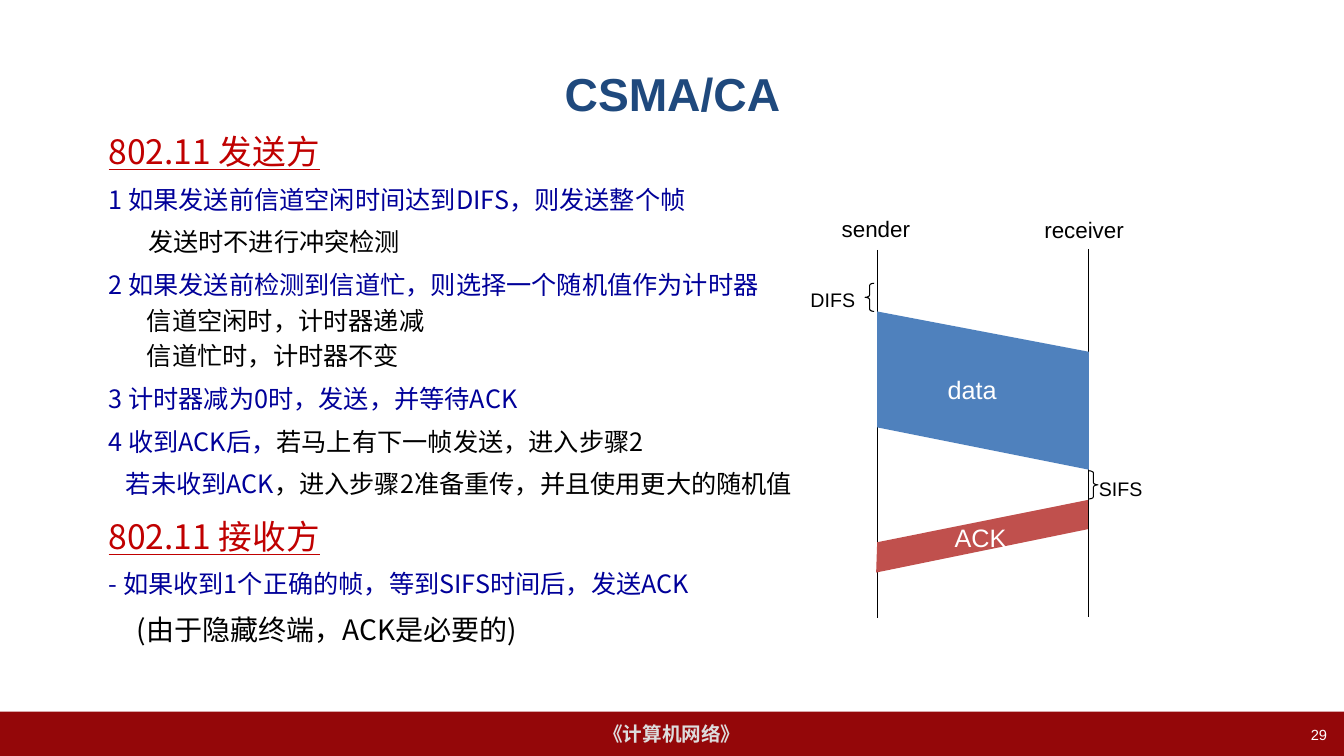
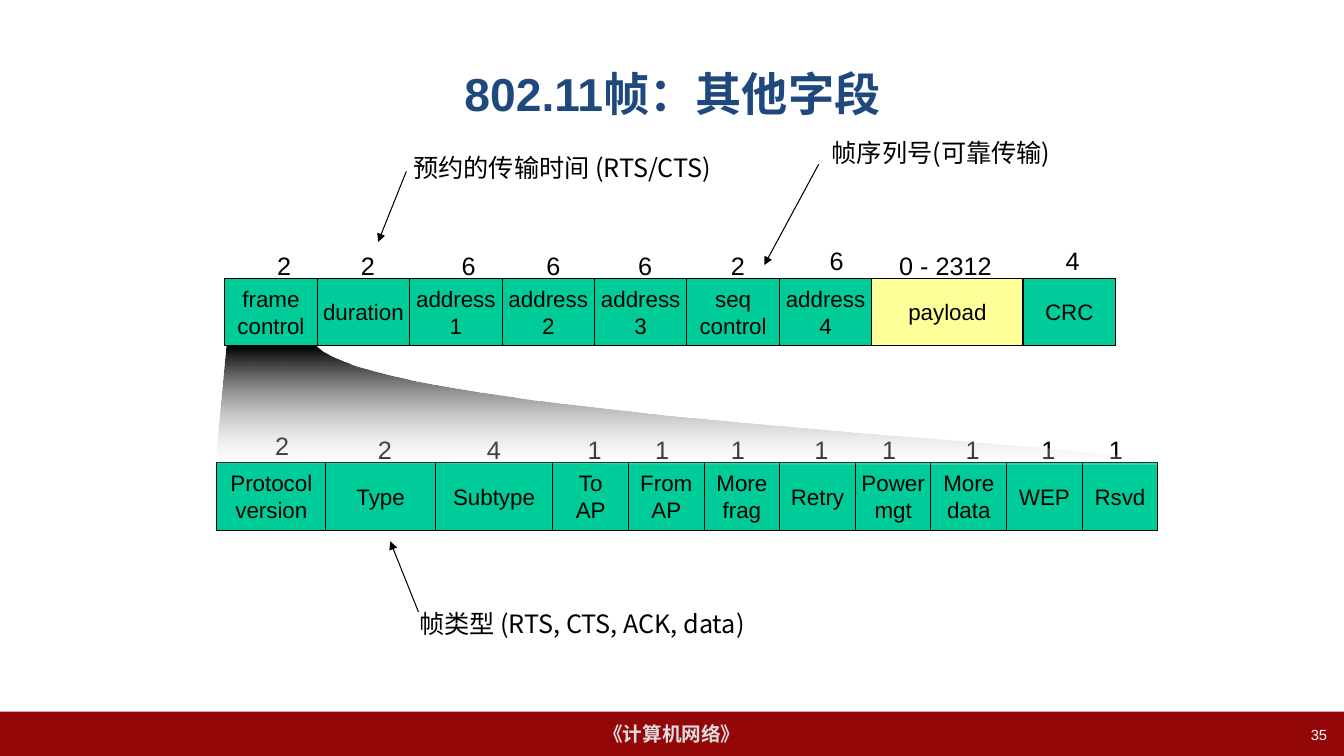
from dataclasses import dataclass
from typing import Optional

import lxml.etree
import pptx
import pptx.dml.color
import pptx.enum.shapes
import pptx.enum.text
import pptx.oxml.ns
import pptx.presentation
import pptx.shapes.autoshape
import pptx.slide
import pptx.text.text
import pptx.util

Inches = pptx.util.Inches
Pt = pptx.util.Pt
RGBColor = pptx.dml.color.RGBColor
Shape = pptx.shapes.autoshape.Shape
Slide = pptx.slide.Slide
ALIGN = pptx.enum.text.PP_ALIGN
ANCHOR = pptx.enum.text.MSO_ANCHOR
PRESET = pptx.enum.shapes.MSO_SHAPE
qn = pptx.oxml.ns.qn

BLACK = RGBColor(0x00, 0x00, 0x00)
WHITE = RGBColor(0xFF, 0xFF, 0xFF)
BAND_RED = RGBColor(0x94, 0x07, 0x09)
BAND_TEXT = RGBColor(0xDD, 0xDD, 0xDD)
TITLE_BLUE = RGBColor(0x1F, 0x49, 0x7D)
HEADING_RED = RGBColor(0xC0, 0x00, 0x00)
STEP_BLUE = RGBColor(0x00, 0x00, 0x99)
DATA_BLUE = RGBColor(0x4F, 0x81, 0xBD)
ACK_RED = RGBColor(0xC0, 0x50, 0x4D)
FIELD_GREEN = RGBColor(0x00, 0xCC, 0x99)
PAYLOAD_YELLOW = RGBColor(0xFF, 0xFF, 0x99)

LATIN = "Arial"
CHINESE = "Noto Sans CJK SC"
WIDTH, HEIGHT = 13.33, 7.5
FIELD_HEIGHT = 0.67
LINE_WIDTH = 0.75

Point = tuple[float, float]


@dataclass(frozen=True)
class Style:
    size: float
    color: RGBColor = BLACK
    font: str = LATIN
    bold: bool = False
    underline: bool = False
    align: ALIGN = ALIGN.LEFT


@dataclass(frozen=True)
class Line:
    spans: tuple[tuple[str, RGBColor], ...]
    size: float = 18
    indent: float = 0
    before: float = 9
    underline: bool = False


@dataclass(frozen=True)
class Label:
    text: str
    left: float
    top: float
    width: float
    height: float
    style: Style
    wrap: bool = False


@dataclass(frozen=True)
class Field:
    name: str
    twelfths: int
    size: str
    size_left: float
    raised: float = 0
    size_width: float = 0.34
    fill: RGBColor = FIELD_GREEN


TITLE = Style(33, TITLE_BLUE, bold=True, align=ALIGN.CENTER)
FOOTER = Style(14, BAND_TEXT, bold=True, align=ALIGN.CENTER)
PAGE_NUMBER = Style(10.5, WHITE, align=ALIGN.RIGHT)
FIELD_NAME = Style(16, align=ALIGN.CENTER)
FIELD_SIZE = Style(18)
NOTE = Style(18, font=CHINESE)
END_NAME = Style(16)
GAP_NAME = Style(14)
FRAME_NAME = Style(18, WHITE)

STEPS = (
    Line((("802.11 发送方", HEADING_RED),), 24, before=12, underline=True),
    Line((("1 如果发送前信道空闲时间达到DIFS，则发送整个帧", STEP_BLUE),)),
    Line((("发送时不进行冲突检测", BLACK),), indent=0.39),
    Line((("2 如果发送前检测到信道忙，则选择一个随机值作为计时器", STEP_BLUE),)),
    Line((("信道空闲时，计时器递减", BLACK),), indent=0.38, before=3.6),
    Line((("信道忙时，计时器不变", BLACK),), indent=0.38, before=3.6),
    Line((("3 计时器减为0时，发送，并等待ACK", STEP_BLUE),)),
    Line((("4 收到ACK后，", STEP_BLUE), ("若马上有下一帧发送，进入步骤2", BLACK))),
    Line((("若未收到ACK", STEP_BLUE),
          ("，进入步骤2准备重传，并且使用更大的随机值", BLACK)), indent=0.17),
    Line((("802.11 接收方", HEADING_RED),), 24, before=12, underline=True),
    Line((("- 如果收到1个正确的帧，等到SIFS时间后，发送ACK", STEP_BLUE),)),
    Line((("(由于隐藏终端，ACK是必要的)", BLACK),), 20, indent=0.28, before=10),
)

TIMING_LABELS = (
    Label("sender", 8.25, 2.09, 0.91, 0.37, END_NAME),
    Label("receiver", 10.26, 2.1, 1, 0.37, END_NAME),
    Label("DIFS", 7.94, 2.81, 0.65, 0.34, GAP_NAME),
    Label("SIFS", 10.8, 4.68, 0.64, 0.34, GAP_NAME),
    Label("data", 9.3, 3.66, 0.69, 0.4, FRAME_NAME),
    Label("ACK", 9.37, 5.13, 0.72, 0.4, FRAME_NAME),
)

FRAME_FIELDS = (
    Field("frame\ncontrol", 11, "2", 2.65),
    Field("duration", 11, "2", 3.48),
    Field("address\n1", 11, "6", 4.48),
    Field("address\n2", 11, "6", 5.32),
    Field("address\n3", 11, "6", 6.23),
    Field("seq\ncontrol", 11, "2", 7.15),
    Field("address\n4", 11, "6", 8.13, raised=0.05),
    Field("payload", 18, "0 - 2312", 8.82, size_width=1.12, fill=PAYLOAD_YELLOW),
    Field("CRC", 11, "4", 10.47, raised=0.05),
)

CONTROL_FIELDS = (
    Field("Protocol\nversion", 13, "2", 2.63, raised=0.04),
    Field("Type", 13, "2", 3.65),
    Field("Subtype", 14, "4", 4.73),
    Field("To\nAP", 9, "1", 5.73),
    Field("From\nAP", 9, "1", 6.4),
    Field("More\nfrag", 9, "1", 7.15),
    Field("Retry", 9, "1", 7.98),
    Field("Power\nmgt", 9, "1", 8.65),
    Field("More\ndata", 9, "1", 9.48),
    Field("WEP", 9, "1", 10.23),
    Field("Rsvd", 9, "1", 10.9),
)

NOTES = (
    Label("预约的传输时间 (RTS/CTS)", 4, 1.46, 3.23, 0.4, NOTE, wrap=True),
    Label("帧序列号(可靠传输)", 8.15, 1.31, 2.39, 0.4, NOTE, wrap=True),
    Label("帧类型 (RTS, CTS, ACK, data)", 4.06, 5.99, 3.56, 0.4, NOTE, wrap=True),
)
NOTE_ARROWS = (
    ((4.03, 1.7), (3.75, 2.4)),
    ((8.12, 1.63), (7.58, 2.63)),
    ((4.15, 6.07), (3.87, 5.37)),
)


def style_paragraph(para: pptx.text.text._Paragraph, style: Style) -> None:
    para.alignment = style.align
    font = para.font
    font.name, font.size = style.font, Pt(style.size)
    font.bold, font.underline = style.bold, style.underline
    font.color.rgb = style.color
    properties = para._p.pPr.find(qn("a:defRPr"))
    lxml.etree.SubElement(properties, qn("a:ea")).set("typeface", CHINESE)


def write(shape: Shape, text: str, style: Style, wrap: bool = False) -> None:
    frame = shape.text_frame
    frame.word_wrap = wrap
    frame.text = text
    for para in frame.paragraphs:
        style_paragraph(para, style)


def add_label(page: Slide, label: Label) -> Shape:
    box = page.shapes.add_textbox(Inches(label.left), Inches(label.top),
                                  Inches(label.width), Inches(label.height))
    write(box, label.text, label.style, label.wrap)
    return box


def add_block(page: Slide, left: float, top: float, width: float, height: float,
              fill: RGBColor, outlined: bool = True) -> Shape:
    block = page.shapes.add_shape(PRESET.RECTANGLE, Inches(left), Inches(top),
                                  Inches(width), Inches(height))
    block.shadow.inherit = False
    block.fill.solid()
    block.fill.fore_color.rgb = fill
    if outlined:
        block.line.color.rgb = BLACK
        block.line.width = Pt(LINE_WIDTH)
    else:
        block.line.fill.background()
    block.text_frame.vertical_anchor = ANCHOR.MIDDLE
    return block


def add_line(page: Slide, start: Point, end: Point, arrow: bool = False) -> None:
    line = page.shapes.add_connector(pptx.enum.shapes.MSO_CONNECTOR.STRAIGHT,
                                     *(Inches(value) for value in start + end))
    line.line.color.rgb = BLACK
    line.line.width = Pt(LINE_WIDTH)
    if arrow:
        outline = line.line._get_or_add_ln()
        lxml.etree.SubElement(outline, qn("a:tailEnd")).set("type", "triangle")
    lxml.etree.SubElement(line._element.spPr, qn("a:effectLst"))


def add_outline(page: Slide, points: list[Point], fill: Optional[RGBColor] = None) -> Shape:
    start, *others = [(Inches(x), Inches(y)) for x, y in points]
    builder = page.shapes.build_freeform(*start)
    builder.add_line_segments(others, close=True)
    outline = builder.convert_to_shape()
    outline.shadow.inherit = False
    outline.line.fill.background()
    if fill is not None:
        outline.fill.solid()
        outline.fill.fore_color.rgb = fill
    return outline


def add_brace(page: Slide, preset: PRESET, left: float, top: float) -> None:
    brace = page.shapes.add_shape(preset, Inches(left), Inches(top), Inches(0.09), Inches(0.28))
    brace.adjustments[0] = 0.25
    brace.shadow.inherit = False
    brace.fill.background()
    brace.line.color.rgb = BLACK
    brace.line.width = Pt(LINE_WIDTH)


def add_page(deck: pptx.presentation.Presentation, title: str, number: int) -> Slide:
    page = deck.slides.add_slide(deck.slide_layouts[6])
    band = add_block(page, 0, 7.06, WIDTH, 0.44, BAND_RED, outlined=False)
    write(band, "《计算机网络》", FOOTER)
    heading = add_label(page, Label(title, 0.67, 0.3, 12, 1.25, TITLE, wrap=True))
    heading.text_frame.vertical_anchor = ANCHOR.MIDDLE
    add_label(page, Label(str(number), 10.15, 7.15, 3.11, 0.35, PAGE_NUMBER, wrap=True))
    return page


def add_steps(page: Slide) -> None:
    box = page.shapes.add_textbox(Inches(0.98), Inches(1.25), Inches(7.26), Inches(5.42))
    frame = box.text_frame
    frame.word_wrap = True
    for index, line in enumerate(STEPS):
        para = frame.add_paragraph() if index else frame.paragraphs[0]
        style_paragraph(para, Style(line.size, line.spans[0][1], CHINESE,
                                    underline=line.underline))
        para.space_before = Pt(line.before)
        para._p.pPr.set("marL", str(Inches(line.indent)))
        for text, color in line.spans:
            span = para.add_run()
            span.text = text
            if len(line.spans) > 1:
                span.font.color.rgb = color


def add_fields(page: Slide, left: float, top: float, fields: tuple[Field, ...]) -> None:
    for field in fields:
        width = field.twelfths / 12
        block = add_block(page, left, top, width, FIELD_HEIGHT, field.fill)
        write(block, field.name, FIELD_NAME)
        add_label(page, Label(field.size, field.size_left, top - 0.33 - field.raised,
                              field.size_width, 0.4, FIELD_SIZE))
        left += width


def curve(start: Point, first: Point, second: Point, end: Point, steps: int = 40) -> list[Point]:
    points = []
    for step in range(1, steps + 1):
        t = step / steps
        weights = ((1 - t) ** 3, 3 * t * (1 - t) ** 2, 3 * t * t * (1 - t), t ** 3)
        corners = (start, first, second, end)
        points.append((sum(w * x for w, (x, _) in zip(weights, corners)),
                       sum(w * y for w, (_, y) in zip(weights, corners))))
    return points


def add_zoom(page: Slide) -> None:
    corner = (11.5, 4.61)
    edge = curve(corner, (11.67, 4.41), (3.83, 4.15), (3.15, 3.44))
    zoom = add_outline(page, [(2.25, 3.44), (2.14, 4.59), corner, *edge])
    zoom.fill.gradient()
    zoom.fill.gradient_angle = 270
    for stop, color in zip(zoom.fill.gradient_stops, (BLACK, WHITE)):
        stop.color.rgb = color
    faded = zoom._element.spPr.findall(".//" + qn("a:srgbClr"))[-1]
    lxml.etree.SubElement(faded, qn("a:alpha")).set("val", "18000")


def build_timing_page(deck: pptx.presentation.Presentation) -> None:
    page = add_page(deck, "CSMA/CA", 29)
    add_steps(page)
    for x, top in ((8.7, 2.48), (10.8, 2.47)):
        add_line(page, (x, top), (x, top + 3.65))
    add_brace(page, PRESET.LEFT_BRACE, 8.58, 2.81)
    add_brace(page, PRESET.RIGHT_BRACE, 10.8, 4.67)
    add_outline(page, [(8.7, 3.09), (10.8, 3.49), (10.8, 4.66), (8.7, 4.24)], DATA_BLUE)
    add_outline(page, [(8.69, 5.68), (10.79, 5.25), (10.79, 4.96), (8.7, 5.38)], ACK_RED)
    for label in TIMING_LABELS:
        add_label(page, label)


def build_frame_page(deck: pptx.presentation.Presentation) -> None:
    page = add_page(deck, "802.11帧：其他字段", 35)
    add_fields(page, 2.23, 2.76, FRAME_FIELDS)
    add_fields(page, 2.15, 4.59, CONTROL_FIELDS)
    add_zoom(page)
    for label in NOTES:
        add_label(page, label)
    for start, end in NOTE_ARROWS:
        add_line(page, start, end, arrow=True)


def main() -> None:
    deck = pptx.Presentation()
    deck.slide_width, deck.slide_height = Inches(WIDTH), Inches(HEIGHT)
    build_timing_page(deck)
    build_frame_page(deck)
    deck.save("out.pptx")


if __name__ == "__main__":
    main()
